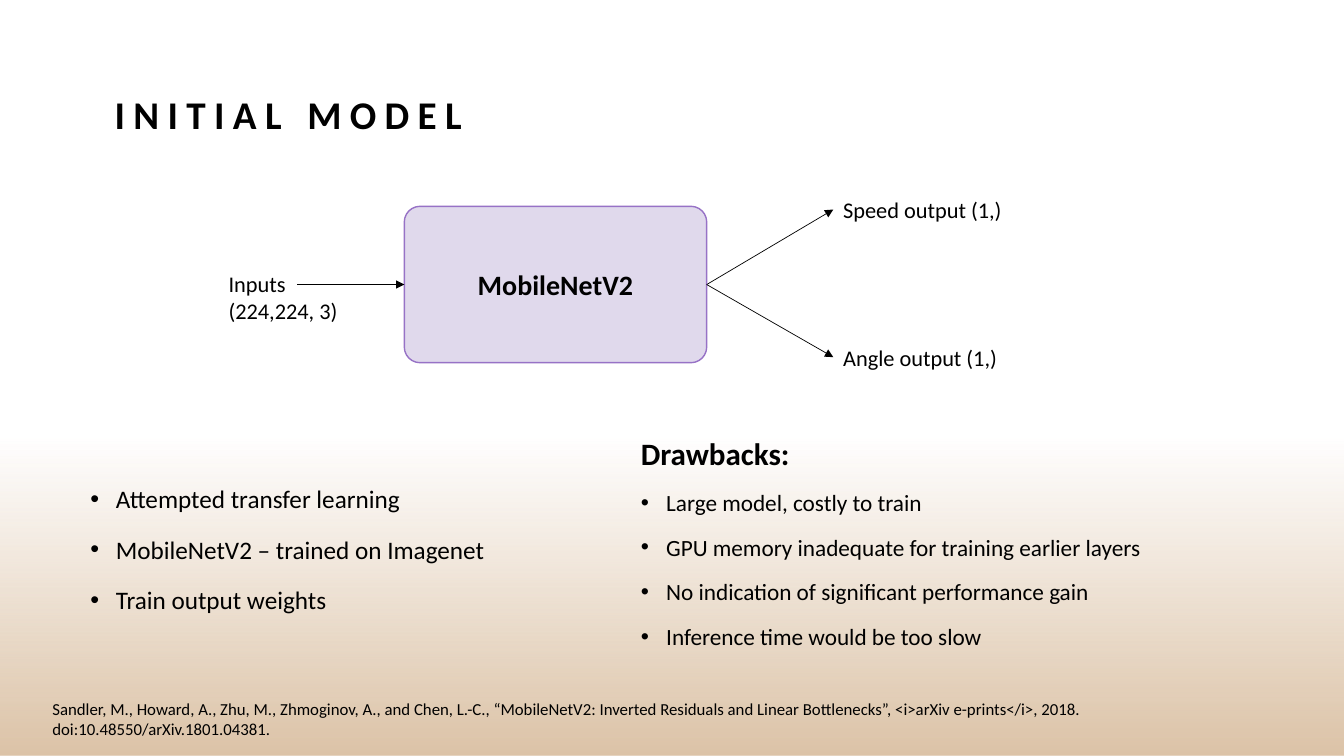
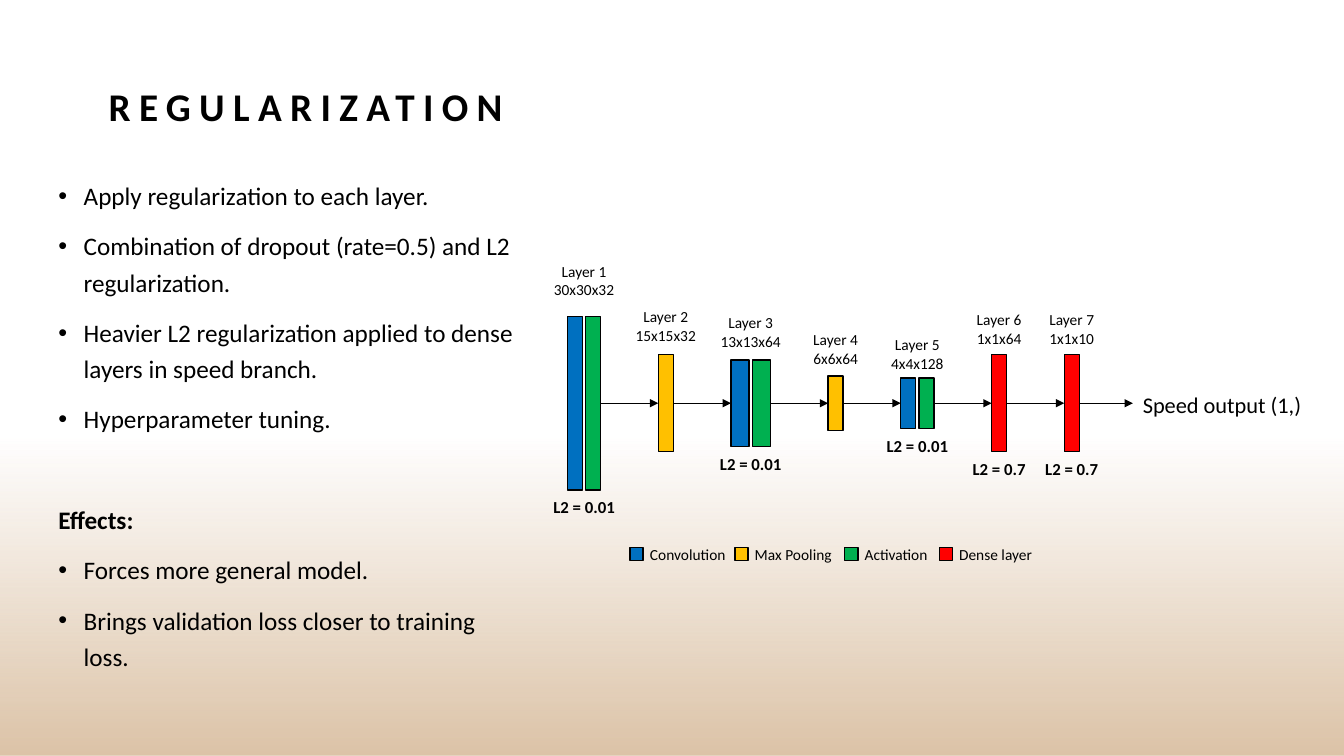
"""Build two slides on a driving model: the initial network and its regularization."""
from dataclasses import dataclass
from itertools import pairwise

from lxml import etree
from pptx import Presentation
from pptx.dml.color import RGBColor
from pptx.enum import shapes, text
from pptx.oxml import parse_xml
from pptx.oxml.ns import nsdecls, qn
from pptx.util import Cm, Pt


@dataclass(frozen=True)
class Theme:
    """Colours and type sizes of the deck."""
    font: str = "Calibri"
    ink: str = "000000"
    sand: str = "DCC3A7"
    lilac: str = "DDD5EA"
    violet: str = "9772C6"
    convolution: str = "0070C0"
    activation: str = "00B050"
    pooling: str = "FFC000"
    dense: str = "FF0000"
    title: float = 28
    model: float = 20
    body: float = 18
    drawback_heading: float = 22.2
    drawback: float = 16.6
    label: float = 16
    note: float = 12
    small: float = 11


THEME = Theme()
CENTER = text.PP_ALIGN.CENTER


@dataclass(frozen=True)
class Line:
    """One paragraph of a text block."""
    words: str
    size: float = THEME.body
    bold: bool = False
    bullet: bool = False
    before: float = 0


@dataclass(frozen=True)
class Layer:
    """One stage of the network diagram, lengths in centimetres."""
    size: str
    label_top: float
    height: float
    colours: tuple
    penalty: str = ""
    width: float = 0.38


CONV_PAIR = (THEME.convolution, THEME.activation)
LAYERS = [
    Layer("30x30x32", 6.48, 4.37, CONV_PAIR, "L2 = 0.01"),
    Layer("15x15x32", 7.62, 2.44, (THEME.pooling,)),
    Layer("13x13x64", 7.77, 2.18, CONV_PAIR, "L2 = 0.01", 0.46),
    Layer("6x6x64", 8.2, 1.37, (THEME.pooling,)),
    Layer("4x4x128", 8.33, 1.27, CONV_PAIR, "L2 = 0.01"),
    Layer("1x1x64", 7.7, 2.44, (THEME.dense,), "L2 = 0.7"),
    Layer("1x1x10", 7.7, 2.44, (THEME.dense,), "L2 = 0.7"),
]
LEGEND = [
    ("Convolution", THEME.convolution, 15.88),
    ("Max Pooling", THEME.pooling, 18.52),
    ("Activation", THEME.activation, 21.29),
    ("Dense layer", THEME.dense, 23.67),
]
AXIS = 10.16
LAYER_GAP = 1.45
BAR_GAP = 0.08


def colour(code):
    """Turn a hex code into a colour."""
    return RGBColor.from_string(code)


def add_bullet(para):
    """Give a paragraph a hanging round bullet."""
    props = para._p.get_or_add_pPr()
    props.set("marL", str(Cm(0.64)))
    props.set("indent", str(-Cm(0.64)))
    etree.SubElement(props, qn("a:buFont")).set("typeface", "Arial")
    etree.SubElement(props, qn("a:buChar")).set("char", "•")


def fill_frame(frame, lines, align=None, spacing=None):
    """Write lines into a text frame and format them."""
    frame.word_wrap = True
    frame.text = "\n".join(line.words for line in lines)
    for para, line in zip(frame.paragraphs, lines):
        if line.bullet:
            add_bullet(para)
        if line.before:
            para.space_before = Pt(line.before)
        if spacing:
            para.line_spacing = spacing
        para.alignment = align
        for span in para.runs:
            span.font.name = THEME.font
            span.font.size = Pt(line.size)
            span.font.bold = line.bold
            span.font.color.rgb = colour(THEME.ink)


def add_text(page, area, lines, align=None, spacing=None):
    """Add a text box; area is left, top, width, height in centimetres."""
    box = page.shapes.add_textbox(*map(Cm, area))
    fill_frame(box.text_frame, lines, align, spacing)
    return box


def add_block(page, kind, area, fill, outline=None):
    """Add a flat filled shape, outlined if a colour is given."""
    block = page.shapes.add_shape(kind, *map(Cm, area))
    block.shadow.inherit = False
    block.fill.solid()
    block.fill.fore_color.rgb = colour(fill)
    if outline:
        block.line.color.rgb = colour(outline)
        block.line.width = Pt(1)
    else:
        block.line.fill.background()
    return block


def add_arrow(page, target, source=None, start=(0, 0)):
    """Draw an arrow to a shape's left side, from a shape's right side or a point."""
    x, y = map(Cm, start)
    arrow = page.shapes.add_connector(shapes.MSO_CONNECTOR.STRAIGHT, x, y, x, y)
    if source is not None:
        arrow.begin_connect(source, 3)
    arrow.end_connect(target, 1)
    arrow.line.color.rgb = colour(THEME.ink)
    arrow.line.width = Pt(0.5)
    etree.SubElement(arrow.line._get_or_add_ln(), qn("a:tailEnd")).set("type", "triangle")
    etree.SubElement(arrow.element.spPr, qn("a:effectLst"))


def add_title(page, left, top, words):
    """Add the widely spaced slide title."""
    box = add_text(page, (left, top, 28.58, 3.2), [Line(words, THEME.title, True)], spacing=1.2)
    box.text_frame.vertical_anchor = text.MSO_ANCHOR.BOTTOM
    box.text_frame.paragraphs[0].runs[0].font._element.set("spc", "600")


def add_shared_band(layout, page):
    """Place the fading sand band on the layout behind every slide."""
    band = add_block(page, shapes.MSO_SHAPE.RECTANGLE, (0, 9.75, 33.87, 9.3), THEME.sand)
    flat = band.element.spPr.find(qn("a:solidFill"))
    fade = parse_xml(
        f'<a:gradFill {nsdecls("a")} rotWithShape="1"><a:gsLst>'
        f'<a:gs pos="14000"><a:srgbClr val="{THEME.sand}"><a:alpha val="0"/></a:srgbClr></a:gs>'
        f'<a:gs pos="100000"><a:srgbClr val="{THEME.sand}"/></a:gs>'
        '</a:gsLst><a:lin ang="5400000" scaled="0"/></a:gradFill>')
    band.element.spPr.replace(flat, fade)
    layout.shapes.element.append(band.element)


def bullets(*items, size=THEME.body, first=0):
    """Make bulleted lines spaced by ten points."""
    return [Line(words, size, bullet=True, before=10 if i else first)
            for i, words in enumerate(items)]


def add_model_diagram(page):
    """Draw the model with its input and its two outputs."""
    model = add_block(page, shapes.MSO_SHAPE.ROUNDED_RECTANGLE, (10.19, 5.2, 7.62, 3.94),
                      THEME.lilac, THEME.violet)
    model.adjustments[0] = 0.1
    tint = model.element.spPr.find(qn("a:solidFill"))[0]
    etree.SubElement(tint, qn("a:alpha")).set("val", "90000")
    fill_frame(model.text_frame, [Line("MobileNetV2", THEME.model, True)], CENTER)
    model.text_frame.vertical_anchor = text.MSO_ANCHOR.MIDDLE
    for words, top in (("Speed output (1,)", 4.83), ("Angle output (1,)", 8.55)):
        output = add_text(page, (21, top, 5.4, 0.9), [Line(words, THEME.label)])
        add_arrow(page, output, model)
    add_text(page, (5.51, 6.68, 3.91, 1.55), [Line("Inputs (224,224, 3)", THEME.label)])
    add_arrow(page, model, start=(7.49, 7.17))


def add_layer(page, number, layer, left):
    """Draw one layer with its captions and return its bars."""
    top = AXIS - layer.height / 2
    pitch = layer.width + BAR_GAP
    bars = [add_block(page, shapes.MSO_SHAPE.RECTANGLE,
                      (left + i * pitch, top, layer.width, layer.height), fill, THEME.ink)
            for i, fill in enumerate(layer.colours)]
    caption_left = left + (len(bars) * pitch - BAR_GAP) / 2 - 1.36
    caption = [Line(words, THEME.small) for words in (f"Layer {number}", layer.size)]
    add_text(page, (caption_left, layer.label_top, 2.72, 1.14), caption, CENTER)
    if layer.penalty:
        add_text(page, (caption_left, top + layer.height + 0.05, 2.72, 0.76),
                 [Line(layer.penalty, THEME.note, True)], CENTER)
    return bars


def add_network(page):
    """Draw the chain of layers, joined by arrows up to the output."""
    left = 14.3
    stages = []
    for number, layer in enumerate(LAYERS, 1):
        stages.append(add_layer(page, number, layer, left))
        count = len(layer.colours)
        left += count * layer.width + (count - 1) * BAR_GAP + LAYER_GAP
    output = add_text(page, (28.55, AXIS - 0.43, 5.16, 0.86),
                      [Line("Speed output (1,)", THEME.label)])
    for stage, following in pairwise(stages + [[output]]):
        add_arrow(page, following[0], stage[-1])


def add_legend(page):
    """Explain the colours of the bars."""
    for words, fill, left in LEGEND:
        add_block(page, shapes.MSO_SHAPE.RECTANGLE, (left, 13.79, 0.33, 0.33), fill, THEME.ink)
        add_text(page, (left + 0.25, 13.61, 2.7, 0.74), [Line(words, THEME.small)])


def build_initial_model(page):
    """Fill the slide on the initial model."""
    add_title(page, 2.64, 0.38, "INITIAL MODEL")
    add_model_diagram(page)
    add_text(page, (2.03, 11.91, 12.57, 4.95),
             bullets("Attempted transfer learning", "MobileNetV2 – trained on Imagenet",
                     "Train output weights"), spacing=1.2)
    drawbacks = bullets("Large model, costly to train",
                        "GPU memory inadequate for training earlier layers",
                        "No indication of significant performance gain",
                        "Inference time would be too slow", size=THEME.drawback, first=10)
    add_text(page, (15.9, 10.72, 16.81, 6.05),
             [Line("Drawbacks:", THEME.drawback_heading, True), *drawbacks], spacing=1.1)
    add_text(page, (1.07, 17.48, 30.76, 1.27), [Line(
        "Sandler, M., Howard, A., Zhu, M., Zhmoginov, A., and Chen, L.-C., “MobileNetV2: "
        "Inverted Residuals and Linear Bottlenecks”, <i>arXiv e-prints</i>, 2018. "
        "doi:10.48550/arXiv.1801.04381.", THEME.note)])


def build_regularization(page):
    """Fill the slide on regularization."""
    add_title(page, 2.49, 0.18, "REGULARIZATION")
    methods = bullets("Apply regularization to each layer.",
                      "Combination of dropout (rate=0.5) and L2 regularization.",
                      "Heavier L2 regularization applied to dense layers in speed branch.",
                      "Hyperparameter tuning.")
    effects = bullets("Forces more general model.",
                      "Brings validation loss closer to training loss.", first=10)
    add_text(page, (1.22, 4.27, 12.09, 14.4),
             [*methods, Line("Effects:", bold=True, before=46), *effects], spacing=1.2)
    add_network(page)
    add_legend(page)


def main():
    """Build and save the deck."""
    deck = Presentation()
    deck.slide_width, deck.slide_height = Cm(33.87), Cm(19.05)
    blank = deck.slide_layouts[6]
    first, second = (deck.slides.add_slide(blank) for _ in range(2))
    add_shared_band(blank, first)
    build_initial_model(first)
    build_regularization(second)
    deck.save("out.pptx")


if __name__ == "__main__":
    main()
